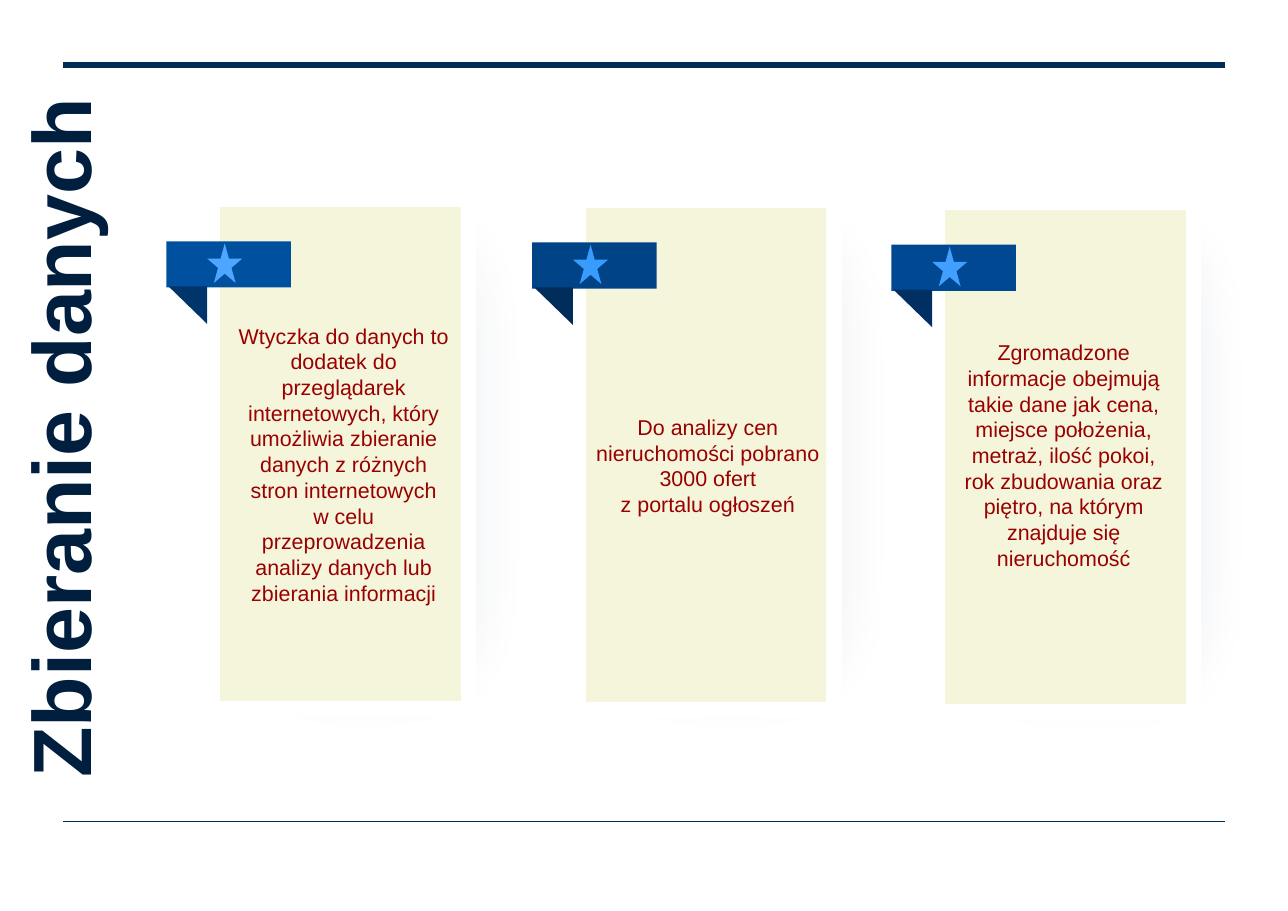
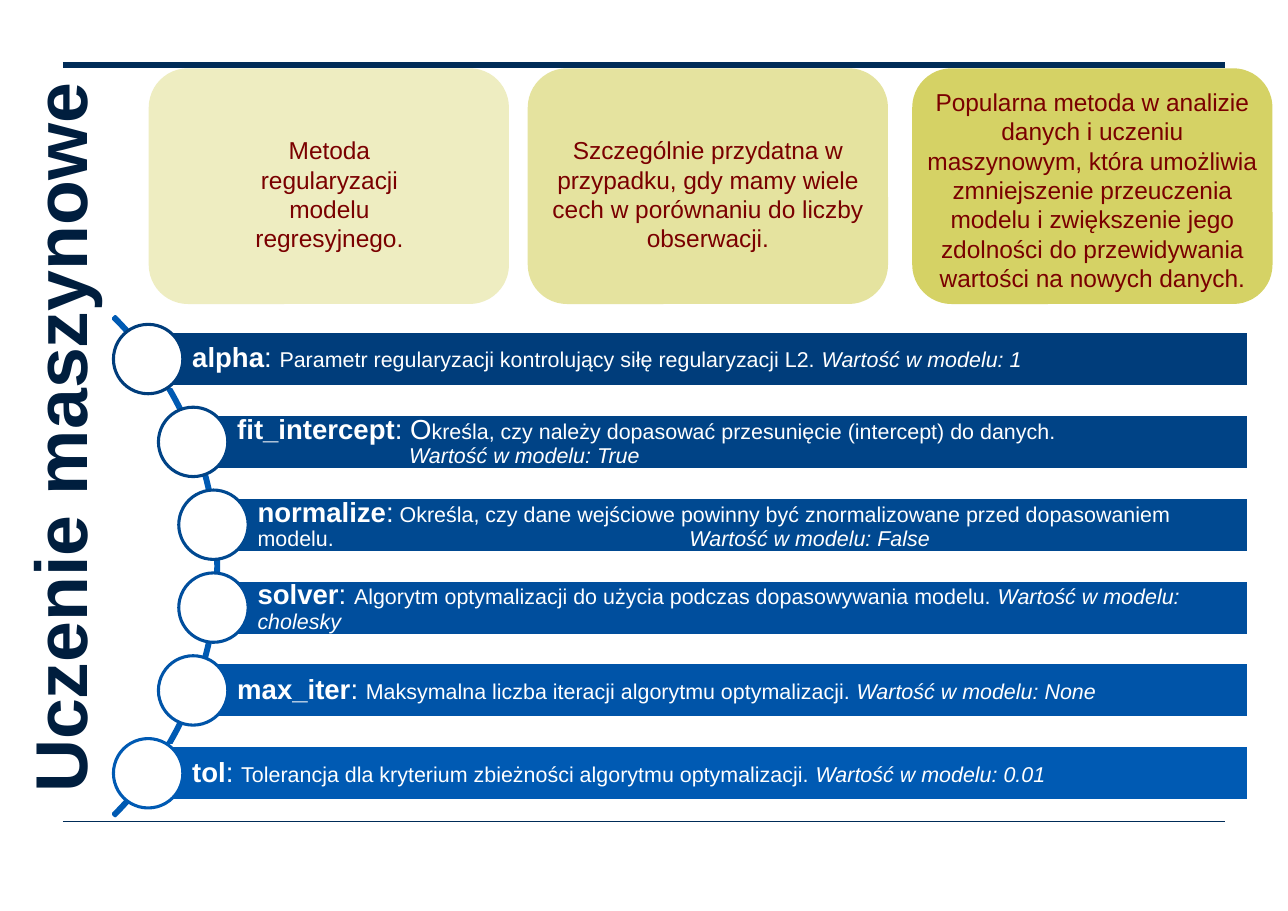
from dataclasses import dataclass
from math import sqrt

from lxml import etree
from pptx import Presentation
from pptx import util as u
from pptx.dml.color import RGBColor
from pptx.enum import shapes, text
from pptx.oxml.ns import qn

SHAPE = shapes.MSO_SHAPE


@dataclass(frozen=True)
class Theme:
    font: str = "Arial"
    rule: str = "002C58"
    title: str = "001E3E"
    white: str = "FFFFFF"
    halo: str = "002D5A"
    card: str = "F5F5DC"
    card_text: str = "990000"
    feature_text: str = "7A0000"
    arc: str = "005AB3"
    card_size: int = 14
    feature_size: int = 16
    name_size: int = 18
    detail_size: int = 14


THEME = Theme()

# left, top, ribbon, fold and star colours, text box, paragraphs
CARDS = [
    (1.93, 1.81, "0050A0", "00356B", "4DA6FF", (2.03, 2.88, 2.18, 3.16),
     ["Wtyczka do danych to dodatek do przeglądarek internetowych, który "
      "umożliwia zbieranie danych z różnych stron internetowych",
      "w celu przeprowadzenia analizy danych lub zbierania informacji"]),
    (5.25, 1.82, "004386", "002D5A", "389CFF", (5.29, 3.71, 2.27, 1.21),
     ["Do analizy cen nieruchomości pobrano 3000 ofert",
      "z portalu ogłoszeń"]),
    (8.51, 1.84, "004992", "003061", "41A0FF", (8.5, 3.03, 2.31, 2.6),
     ["Zgromadzone informacje obejmują takie dane jak cena, miejsce "
      "położenia, metraż, ilość pokoi,",
      "rok zbudowania oraz piętro, na którym znajduje się nieruchomość"]),
]

# left, fill, text box, text
FEATURES = [
    (1.35, "EEEDC1", (1.96, 1.18, 2.06, 1.03),
     "Metoda regularyzacji modelu regresyjnego."),
    (4.79, "E5E39F", (4.9, 1.18, 3.05, 1.03),
     "Szczególnie przydatna w przypadku, gdy mamy wiele cech w porównaniu "
     "do liczby obserwacji."),
    (8.28, "D5D265", (8.28, 0.74, 3.27, 1.74),
     "Popularna metoda w analizie danych i uczeniu maszynowym, która "
     "umożliwia zmniejszenie przeuczenia modelu i zwiększenie jego "
     "zdolności do przewidywania wartości na nowych danych."),
]

# colour, name, text at name size, description, value, hanging indent, tab stop
PARAMETERS = [
    ("003D7B", "alpha", ": ",
     "Parametr regularyzacji kontrolujący siłę regularyzacji L2. ",
     "Wartość w modelu: 1", None, None),
    ("004386", "fit_intercept", ": O",
     "kreśla, czy należy dopasować przesunięcie (intercept) do danych.",
     "Wartość w modelu: True", 1.56, None),
    ("004991", "normalize", ":",
     " Określa, czy dane wejściowe powinny być znormalizowane przed "
     "dopasowaniem modelu.\t",
     "Wartość w modelu: False", None, 3.92),
    ("004E9D", "solver", ": ",
     "Algorytm optymalizacji do użycia podczas dopasowywania modelu. ",
     "Wartość w modelu: cholesky", None, None),
    ("0054A8", "max_iter", ": ",
     "Maksymalna liczba iteracji algorytmu optymalizacji. ",
     "Wartość w modelu: None", None, None),
    ("005AB3", "tol", ": ",
     "Tolerancja dla kryterium zbieżności algorytmu optymalizacji. ",
     "Wartość w modelu: 0.01", None, None),
]


def inches(*values):
    return [u.Inches(value) for value in values]


def rgb(colour):
    return RGBColor.from_string(colour)


def style_font(font, size, colour, bold=False, italic=False):
    font.name = THEME.font
    font.size = u.Pt(size)
    font.color.rgb = rgb(colour)
    font.bold = bold
    font.italic = italic


def add_block(slide, kind, box, fill=None, line=None, width=2):
    block = slide.shapes.add_shape(kind, *inches(*box))
    block.shadow.inherit = False
    if fill:
        block.fill.solid()
        block.fill.fore_color.rgb = rgb(fill)
    else:
        block.fill.background()
    if line:
        block.line.color.rgb = rgb(line)
        block.line.width = u.Pt(width)
    else:
        block.line.fill.background()
    return block


def add_text(slide, box, paragraphs, size, colour, bold=False):
    label = slide.shapes.add_textbox(*inches(*box))
    frame = label.text_frame
    frame.word_wrap = True
    frame.text = "\n".join(paragraphs)
    for paragraph in frame.paragraphs:
        paragraph.alignment = text.PP_ALIGN.CENTER
        for run in paragraph.runs:
            style_font(run.font, size, colour, bold)
    return label


def add_rule(slide, y, width):
    rule = slide.shapes.add_connector(
        shapes.MSO_CONNECTOR.STRAIGHT, *inches(0.57, y, 11.12, y))
    rule.line.color.rgb = rgb(THEME.rule)
    rule.line.width = u.Pt(width)
    etree.SubElement(rule._element.spPr, qn("a:effectLst"))


def add_base(deck, title, size):
    """Slide with the two shared rules and the upright title."""
    slide = deck.slides.add_slide(deck.slide_layouts[6])
    add_rule(slide, 7.46, 0.75)
    add_rule(slide, 0.59, 4)
    heading = add_text(slide, (-2.82, 3.47, 6.7, 1.01), [title], size,
                       THEME.title, bold=True)
    heading.rotation = 270
    heading.text_frame.vertical_anchor = text.MSO_ANCHOR.MIDDLE
    return slide


def add_halo(slide, box):
    """Pale soft-edged glow behind a card."""
    halo = add_block(slide, SHAPE.RECTANGLE, box, THEME.halo)
    colour = halo._element.spPr.find(qn("a:solidFill"))[0]
    etree.SubElement(colour, qn("a:alpha"), val="9000")
    effects = halo._element.spPr.find(qn("a:effectLst"))
    etree.SubElement(effects, qn("a:softEdge"), rad=str(u.Pt(50)))


def add_card(slide, left, top, ribbon, fold, star, text_box, paragraphs):
    add_halo(slide, (left - 0.57, top - 0.66, 3.91, 6.02))
    add_block(slide, SHAPE.RECTANGLE, (left, top, 2.32, 4.62),
              THEME.card, THEME.white, 10)
    add_block(slide, SHAPE.RECTANGLE,
              (left - 0.42, top + 0.38, 1.13, 0.42), ribbon)
    corner = add_block(slide, SHAPE.RIGHT_TRIANGLE,
                       (left - 0.4, top + 0.79, 0.35, 0.34), fold)
    corner.rotation = 180
    add_text(slide, text_box, paragraphs, THEME.card_size, THEME.card_text)
    add_block(slide, SHAPE.STAR_5_POINT,
              (left - 0.05, top + 0.4, 0.32, 0.36), star)


def add_feature(slide, left, fill, text_box, words):
    add_block(slide, SHAPE.ROUNDED_RECTANGLE, (left, 0.62, 3.27, 2.14), fill)
    add_text(slide, text_box, [words], THEME.feature_size, THEME.feature_text)


def fill_parameter(bar, name, lead, description, value, hanging, tab):
    frame = bar.text_frame
    frame.word_wrap = True
    frame.vertical_anchor = text.MSO_ANCHOR.MIDDLE
    frame.margin_left = u.Inches(0.4)
    frame.margin_right = frame.margin_top = frame.margin_bottom = u.Inches(0.05)
    paragraph = frame.paragraphs[0]
    paragraph.alignment = text.PP_ALIGN.LEFT
    paragraph.line_spacing = 0.9
    parts = [(name, THEME.name_size, True, False),
             (lead, THEME.name_size, False, False),
             (description, THEME.detail_size, False, False),
             (value, THEME.detail_size, False, True)]
    for words, size, bold, italic in parts:
        if hanging and words == value:
            paragraph.add_line_break()
        run = paragraph.add_run()
        run.text = words
        style_font(run.font, size, THEME.white, bold, italic)
    # Indent and tab stop that place the value on its second line
    properties = paragraph._p.get_or_add_pPr()
    if hanging:
        properties.set("marL", str(u.Inches(hanging)))
        properties.set("indent", str(-u.Inches(hanging)))
    if tab:
        stops = etree.SubElement(properties, qn("a:tabLst"))
        etree.SubElement(stops, qn("a:tab"), pos=str(u.Inches(tab)), algn="l")


def add_parameters(slide):
    """Bars whose round markers sit along one arc."""
    centre_x, centre_y, radius = -1.22, 5.14, 3.18
    size, right, height, marker = 6.41, 11.33, 0.5, 0.63
    first, last = 3.26, 7.02
    arc = add_block(slide, SHAPE.BLOCK_ARC,
                    (centre_x - size / 2, centre_y - size / 2, size, size),
                    line=THEME.arc)
    for index, setting in enumerate((189, 27, 0.004)):
        arc.adjustments[index] = setting
    step = (last - first) / (len(PARAMETERS) - 1)
    for index, (colour, *content) in enumerate(PARAMETERS):
        y = first + index * step
        x = centre_x + sqrt(radius ** 2 - (y - centre_y) ** 2)
        bar = add_block(slide, SHAPE.RECTANGLE,
                        (x, y - height / 2, right - x, height),
                        colour, THEME.white)
        fill_parameter(bar, *content)
        add_block(slide, SHAPE.OVAL,
                  (x - marker / 2, y - marker / 2, marker, marker),
                  THEME.white, colour)


def main():
    deck = Presentation()
    deck.slide_width, deck.slide_height = inches(11.69, 8.27)

    # Data collection
    collection = add_base(deck, "Zbieranie danych", 54)
    for card in CARDS:
        add_card(collection, *card)

    # Machine learning
    learning = add_base(deck, "Uczenie maszynowe", 48)
    add_parameters(learning)
    for feature in FEATURES:
        add_feature(learning, *feature)

    deck.save("out.pptx")


if __name__ == "__main__":
    main()
